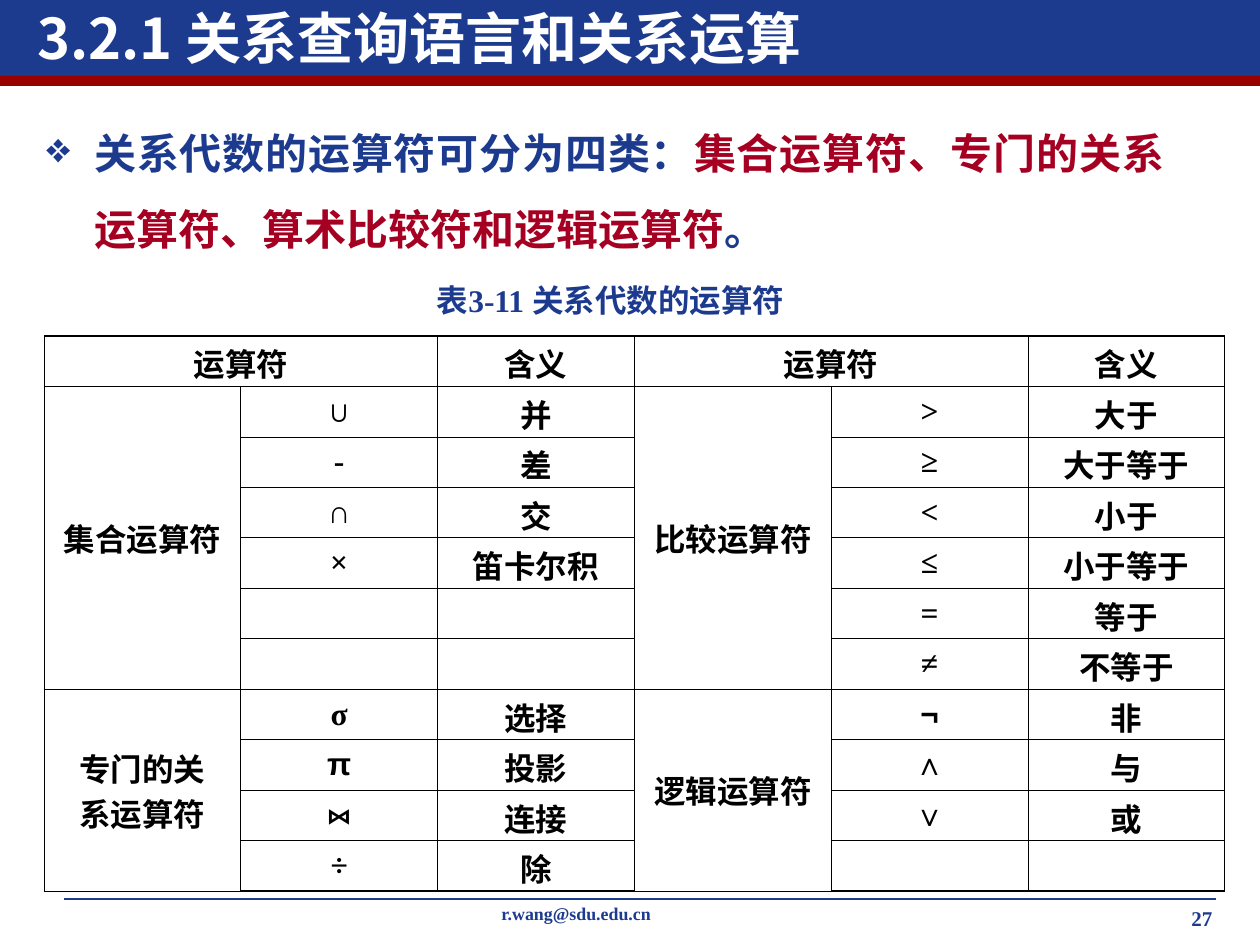
from dataclasses import dataclass

from lxml import etree
from pptx import Presentation
from pptx.dml.color import RGBColor
from pptx.enum.shapes import MSO_CONNECTOR, MSO_SHAPE
from pptx.enum.text import MSO_ANCHOR, MSO_AUTO_SIZE, PP_ALIGN
from pptx.oxml.ns import qn
from pptx.util import Emu, Pt

RECTANGLE = MSO_SHAPE.RECTANGLE
STRAIGHT = MSO_CONNECTOR.STRAIGHT
TOP, MIDDLE = MSO_ANCHOR.TOP, MSO_ANCHOR.MIDDLE
LEFT, CENTER, JUSTIFY = PP_ALIGN.LEFT, PP_ALIGN.CENTER, PP_ALIGN.JUSTIFY
FIT_TEXT = MSO_AUTO_SIZE.SHAPE_TO_FIT_TEXT


@dataclass(frozen=True)
class Theme:
    navy: str = "1C3A8E"
    band: str = "990000"
    crimson: str = "A50021"
    white: str = "FFFFFF"
    black: str = "000000"
    cjk: str = "Noto Sans CJK SC"
    serif: str = "Times New Roman"
    sans: str = "Arial"
    title: float = 32
    lead: float = 24
    body: float = 18
    page: float = 12
    contact: float = 10.2
    thin: float = 0.45
    heavy: float = 0.96


THEME = Theme()
ARIAL_SYMBOLS = "¬π∧∨"
HEADER = ("运算符", "", "含义", "运算符", "", "含义")
LEFT_GROUPS = (
    ("集合运算符", 6, (("∪", "并"), ("-", "差"), ("∩", "交"), ("×", "笛卡尔积"))),
    ("专门的关\n系运算符", 4,
     (("σ", "选择"), ("π", "投影"), ("⋈", "连接"), ("÷", "除"))),
)
RIGHT_GROUPS = (
    ("比较运算符", 6, ((">", "大于"), ("≥", "大于等于"), ("<", "小于"),
                  ("≤", "小于等于"), ("=", "等于"), ("≠", "不等于"))),
    ("逻辑运算符", 4, (("¬", "非"), ("∧", "与"), ("∨", "或"))),
)


def px(length):
    return Emu(round(length * 914400 / 126))


def style_run(run, size, color, font):
    run.font.size = Pt(size)
    run.font.bold = True
    run.font.name = font
    run.font.color.rgb = RGBColor.from_string(color)
    east_asian = etree.SubElement(run.font._element, qn("a:ea"))
    east_asian.set("typeface", THEME.cjk)


def add_text(slide, box, parts, size, font, align=LEFT, anchor=TOP, wrap=True):
    frame = slide.shapes.add_textbox(*map(px, box)).text_frame
    frame.word_wrap = wrap
    frame.vertical_anchor = anchor
    paragraph = frame.paragraphs[0]
    paragraph.alignment = align
    for words, color in parts:
        run = paragraph.add_run()
        run.text = words
        style_run(run, size, color, font)
    return frame


def add_bar(slide, box, color):
    bar = slide.shapes.add_shape(RECTANGLE, *map(px, box))
    bar.shadow.inherit = False
    bar.fill.solid()
    bar.fill.fore_color.rgb = RGBColor.from_string(color)
    bar.line.fill.background()


def add_header(slide, box):
    left, top, width, height = box
    add_bar(slide, (left, top, width, height - 10), THEME.navy)
    add_bar(slide, (left, top + height - 10, width, 10), THEME.band)
    add_text(slide, (left + 25, top - 5, 932, 84),
             [("3.2.1 关系查询语言和关系运算", THEME.white)],
             THEME.title, THEME.cjk, anchor=MIDDLE)


def add_lead(slide, box):
    parts = [
        ("关系代数的运算符可分为四类：", THEME.navy),
        ("集合运算符、专门的关系运算符、算术比较符和逻辑运算符", THEME.crimson),
        ("。", THEME.navy),
    ]
    frame = add_text(slide, box, parts, THEME.lead, THEME.cjk, JUSTIFY)
    paragraph = frame.paragraphs[0]
    paragraph.line_spacing = 1.5
    properties = paragraph._p.get_or_add_pPr()
    properties.set("marL", str(px(48)))
    properties.set("indent", str(-px(48)))
    bullet_color = etree.SubElement(properties, qn("a:buClr"))
    etree.SubElement(bullet_color, qn("a:srgbClr")).set("val", THEME.navy)
    etree.SubElement(properties, qn("a:buChar")).set("char", "❖")


def add_caption(slide, box):
    frame = add_text(slide, box, [("表3-11 关系代数的运算符", THEME.navy)],
                     THEME.body, THEME.serif, CENTER, MIDDLE, wrap=False)
    frame.auto_size = FIT_TEXT


def set_borders(cell, widths):
    properties = cell._tc.get_or_add_tcPr()
    for side, width in zip("LRTB", widths):
        line = etree.SubElement(properties, qn(f"a:ln{side}"))
        line.set("w", str(Pt(width)))
        fill = etree.SubElement(line, qn("a:solidFill"))
        etree.SubElement(fill, qn("a:srgbClr")).set("val", THEME.black)
    cell.fill.background()


def fill_cell(cell, words, anchor=MIDDLE, snug=False):
    cell.text_frame.text = words
    cell.vertical_anchor = anchor
    if snug:
        cell.margin_top, cell.margin_bottom = px(4), 0
    font = THEME.sans if words and words in ARIAL_SYMBOLS else THEME.serif
    for paragraph in cell.text_frame.paragraphs:
        paragraph.alignment = CENTER
        for run in paragraph.runs:
            style_run(run, THEME.body, THEME.black, font)


def fill_groups(table, column, groups):
    row = 1
    for name, span, operators in groups:
        table.cell(row, column).merge(table.cell(row + span - 1, column))
        fill_cell(table.cell(row, column), name)
        for offset, (symbol, meaning) in enumerate(operators):
            fill_cell(table.cell(row + offset, column + 1), symbol)
            fill_cell(table.cell(row + offset, column + 2), meaning, snug=True)
        row += span


def add_operator_table(slide, box):
    rows, columns = 11, 6
    width, height = box[2:]
    table = slide.shapes.add_table(rows, columns, *map(px, box)).table
    table.first_row = table.horz_banding = False
    for column in table.columns:
        column.width = px(width / columns)
    for row in table.rows:
        row.height = px(height / rows)
    for row in range(rows):
        top = THEME.heavy if row == 0 else THEME.thin
        bottom = THEME.heavy if row == rows - 1 else THEME.thin
        for column in range(columns):
            set_borders(table.cell(row, column),
                        (THEME.thin, THEME.thin, top, bottom))
    for column, words in enumerate(HEADER):
        if words:
            fill_cell(table.cell(0, column), words, TOP, snug=True)
    for column, groups in ((0, LEFT_GROUPS), (3, RIGHT_GROUPS)):
        table.cell(0, column).merge(table.cell(0, column + 1))
        fill_groups(table, column, groups)


def add_footer(slide, box):
    left, top, width, height = box
    rule = slide.shapes.add_connector(
        STRAIGHT, px(left), px(top), px(left + width), px(top))
    rule.line.color.rgb = RGBColor.from_string(THEME.navy)
    rule.line.width = Pt(0.75)
    etree.SubElement(rule._element.spPr, qn("a:effectLst"))
    contact = add_text(slide, (left + 425, top, 399, 34),
                       [("r.wang@sdu.edu.cn", THEME.navy)],
                       THEME.contact, THEME.serif)
    contact.paragraphs[0].line_spacing = 0.9
    add_text(slide, (left + width - 37, top, 56, height),
             [("27", THEME.navy)], THEME.page, THEME.serif)


def main():
    presentation = Presentation()
    presentation.slide_width, presentation.slide_height = px(1260), px(945)
    slide = presentation.slides.add_slide(presentation.slide_layouts[6])
    add_header(slide, (0, 0, 1260, 86))
    add_lead(slide, (34, 96, 1143, 169))
    add_caption(slide, (416, 275, 389, 50))
    add_operator_table(slide, (44, 336, 1181, 555))
    add_footer(slide, (64, 899, 1152, 42))
    presentation.save("out.pptx")


if __name__ == "__main__":
    main()
